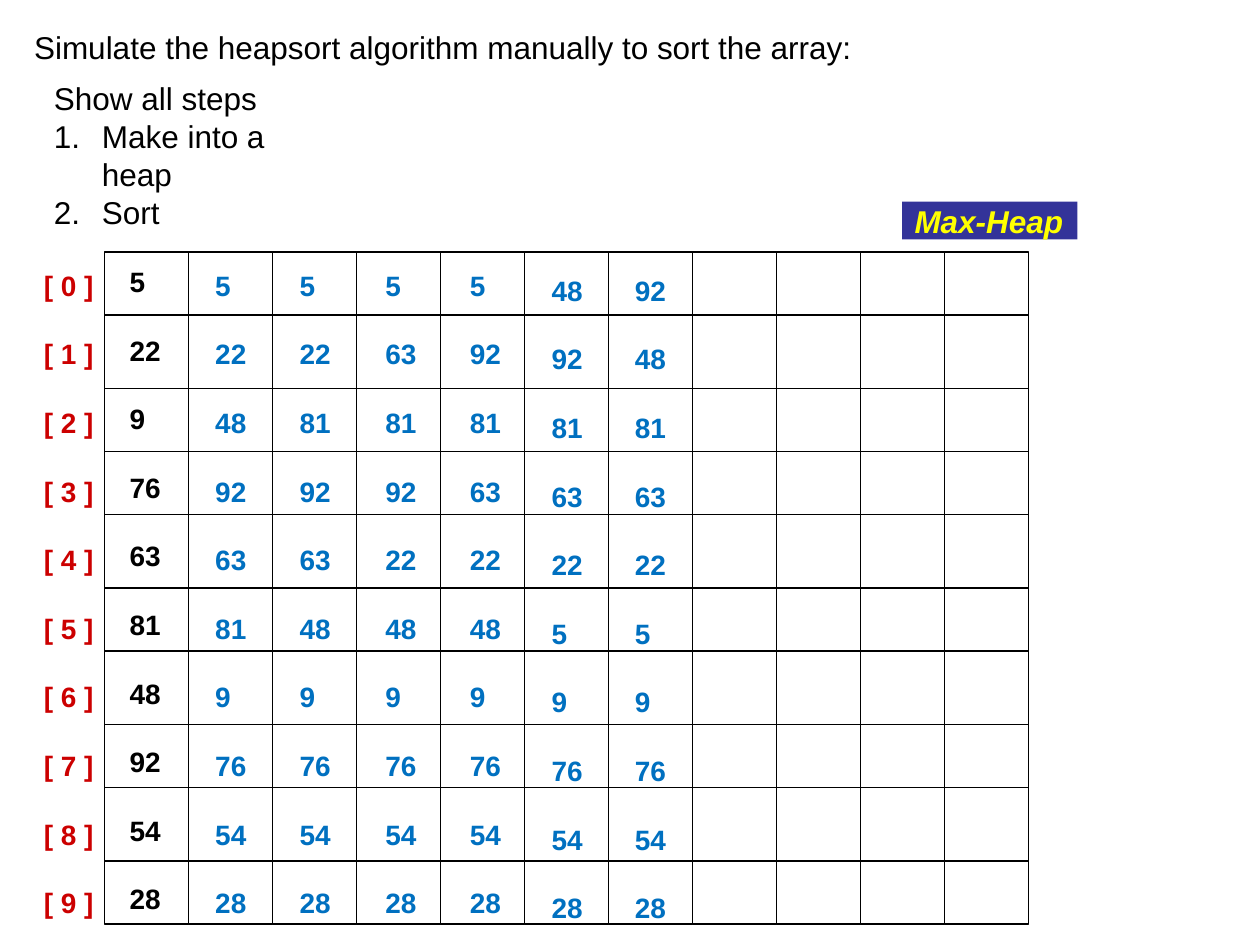
from itertools import accumulate

from lxml.etree import SubElement
from pptx import Presentation
from pptx.dml.color import RGBColor
from pptx.enum.shapes import MSO_CONNECTOR as Connector, MSO_SHAPE as Shape
from pptx.enum.text import MSO_ANCHOR as Anchor, MSO_AUTO_SIZE as AutoSize, PP_ALIGN as Align
from pptx.oxml.ns import qn
from pptx.util import Inches, Pt

BLACK, RED, BLUE, NAVY, YELLOW = "000000", "CC0000", "0070C0", "333399", "FFFF00"
GRID_LEFT, GRID_TOP, COLUMN_COUNT, COLUMN_WIDTH = 0.83, 2, 11, 2 / 3
ROW_HEIGHTS = [units / 12 for units in (6, 7, 6, 6, 7, 6, 7, 6, 7, 6)]
MIDDLE_ROW = 5
ARRAY_STATES = [
    (0.93, 2.05, BLACK, [5, 22, 9, 76, 63, 81, 48, 92, 54, 28]),
    (1.61, 2.08, BLUE, [5, 22, 48, 92, 63, 81, 9, 76, 54, 28]),
    (2.28, 2.08, BLUE, [5, 22, 81, 92, 63, 48, 9, 76, 54, 28]),
    (2.96, 2.08, BLUE, [5, 63, 81, 92, 22, 48, 9, 76, 54, 28]),
    (3.63, 2.08, BLUE, [5, 92, 81, 63, 22, 48, 9, 76, 54, 28]),
    (4.28, 2.12, BLUE, [48, 92, 81, 63, 22, 5, 9, 76, 54, 28]),
    (4.94, 2.12, BLUE, [92, 48, 81, 63, 22, 5, 9, 76, 54, 28]),
]


def color(value):
    """Turn a hex string into a colour."""
    return RGBColor.from_string(value)


def place(shape, left, top, width, height):
    """Move and size a shape, in inches."""
    shape.left, shape.top = Inches(left), Inches(top)
    shape.width, shape.height = Inches(width), Inches(height)


def write(shape, lines, size, ink, bold=False, italic=False, gap=0, inset=0.05):
    """Write left-aligned lines, one paragraph each, with a gap between them."""
    frame = shape.text_frame
    frame.text = "\n".join(lines)
    frame.word_wrap = False
    frame.auto_size = AutoSize.SHAPE_TO_FIT_TEXT
    frame.vertical_anchor = Anchor.TOP
    frame.margin_left = frame.margin_right = Inches(0.1)
    frame.margin_top = frame.margin_bottom = Inches(inset)
    for index, para in enumerate(frame.paragraphs):
        para.alignment = Align.LEFT
        para.line_spacing = 1.0
        para.space_before = Pt(gap if index else 0)
        para.font.name, para.font.size = "Arial", Pt(size)
        para.font.bold, para.font.italic = bold, italic
        para.font.color.rgb = color(ink)
    return frame.paragraphs


def add_text(page, box, lines, size, ink, **style):
    """Add a text box and return its paragraphs."""
    return write(page.shapes.add_textbox(*map(Inches, box)), lines, size, ink, **style)


def add_title(page, box):
    """Set the task in the title placeholder."""
    title = page.shapes.title
    place(title, *box)
    write(title, ["Simulate the heapsort algorithm manually to sort the array:"], 18, BLACK)


def add_steps(page, box):
    """Add the instruction and its numbered steps."""
    lines = ["Show all steps", "Make into a heap", "Sort"]
    for index, para in enumerate(add_text(page, box, lines, 18, BLACK)):
        properties = para._p.get_or_add_pPr()
        properties.set("marL", str(Inches(0.38)))
        properties.set("indent", str(-Inches(0.38)))
        if index:
            SubElement(properties, qn("a:buAutoNum"), type="arabicPeriod")
            properties.append(properties.find(qn("a:defRPr")))


def add_badge(page, box):
    """Add the heap type badge."""
    badge = page.shapes.add_shape(Shape.RECTANGLE, *map(Inches, box))
    badge.shadow.inherit = False
    badge.fill.solid()
    badge.fill.fore_color.rgb = color(NAVY)
    badge.line.fill.background()
    write(badge, ["Max-Heap"], 18, YELLOW, bold=True, italic=True, inset=0)


def add_column(page, box):
    """Add one outlined array column with its row lines, as a group."""
    left, top, width, height = box
    group = page.shapes.add_group_shape()
    outline = group.shapes.add_shape(Shape.RECTANGLE, *map(Inches, box))
    outline.shadow.inherit = False
    outline.fill.background()
    outline.line.color.rgb = color(BLACK)
    outline.line.width = Pt(1)
    for row, offset in enumerate(accumulate(ROW_HEIGHTS[:-1]), start=1):
        ends = (left, top + offset, left + width, top + offset)
        divider = group.shapes.add_connector(Connector.STRAIGHT, *map(Inches, ends))
        divider.line.color.rgb = color(BLACK)
        divider.line.width = Pt(1)
        SubElement(divider._element.spPr, qn("a:effectLst"))
        if row == MIDDLE_ROW:
            divider.begin_connect(outline, 1)
            divider.end_connect(outline, 3)


def add_grid(page, left, top):
    """Add the columns side by side."""
    for index in range(COLUMN_COUNT):
        column_left = left + index * COLUMN_WIDTH
        add_column(page, (column_left, top, COLUMN_WIDTH, sum(ROW_HEIGHTS)))


def add_entries(page, box, entries, ink):
    """Add a bold stack of entries, one for each array row."""
    add_text(page, box, [str(entry) for entry in entries], 16, ink, bold=True, gap=20)


def main():
    """Build and save the slide."""
    deck = Presentation()
    deck.slide_width, deck.slide_height = Inches(10), Inches(7.5)
    page = deck.slides.add_slide(deck.slide_layouts[5])
    add_title(page, (0.17, 0.17, 6.69, 0.4))
    add_steps(page, (0.33, 0.58, 2.49, 1))
    add_entries(page, (0.25, 2.08, 0.6, 5.18), [f"[ {row} ]" for row in range(10)], RED)
    add_grid(page, GRID_LEFT, GRID_TOP)
    add_badge(page, (7.16, 1.6, 1.39, 0.3))
    for left, top, ink, values in ARRAY_STATES:
        add_entries(page, (left, top, 0.45, 5.22), values, ink)
    deck.save("out.pptx")


if __name__ == "__main__":
    main()
